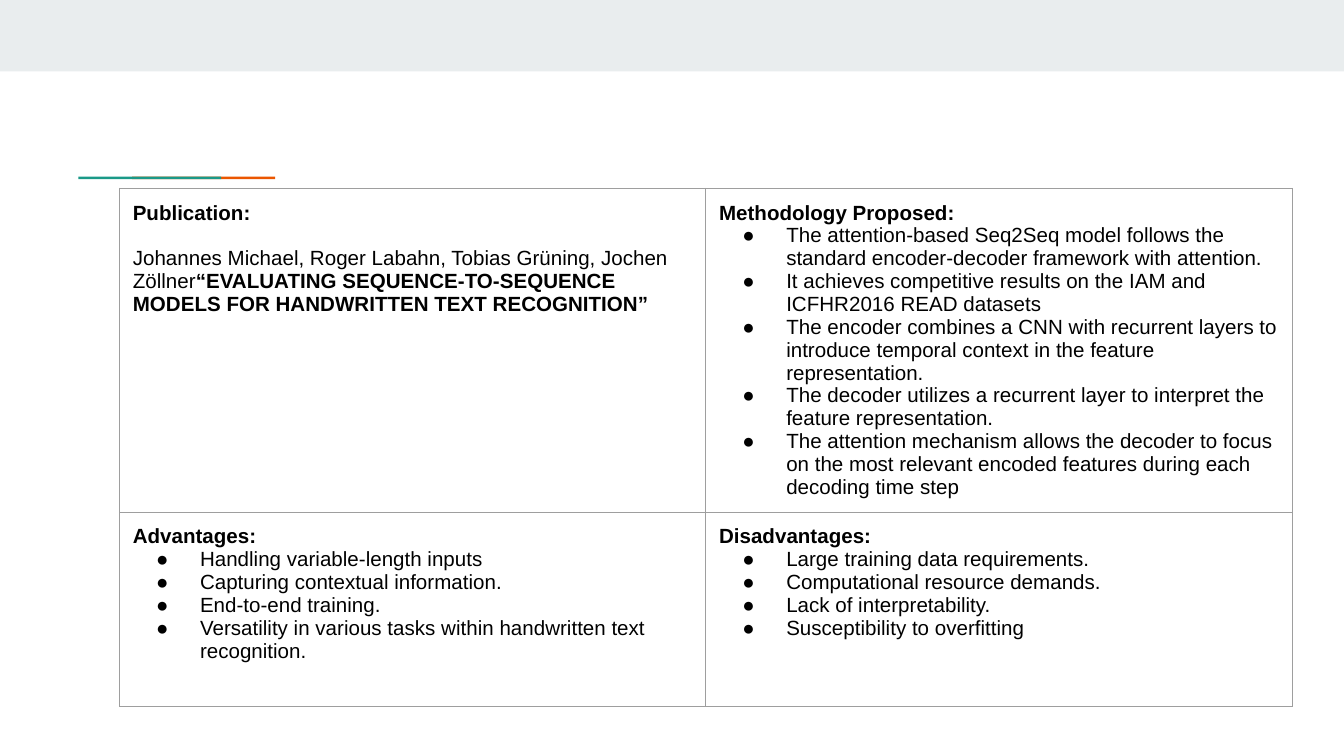
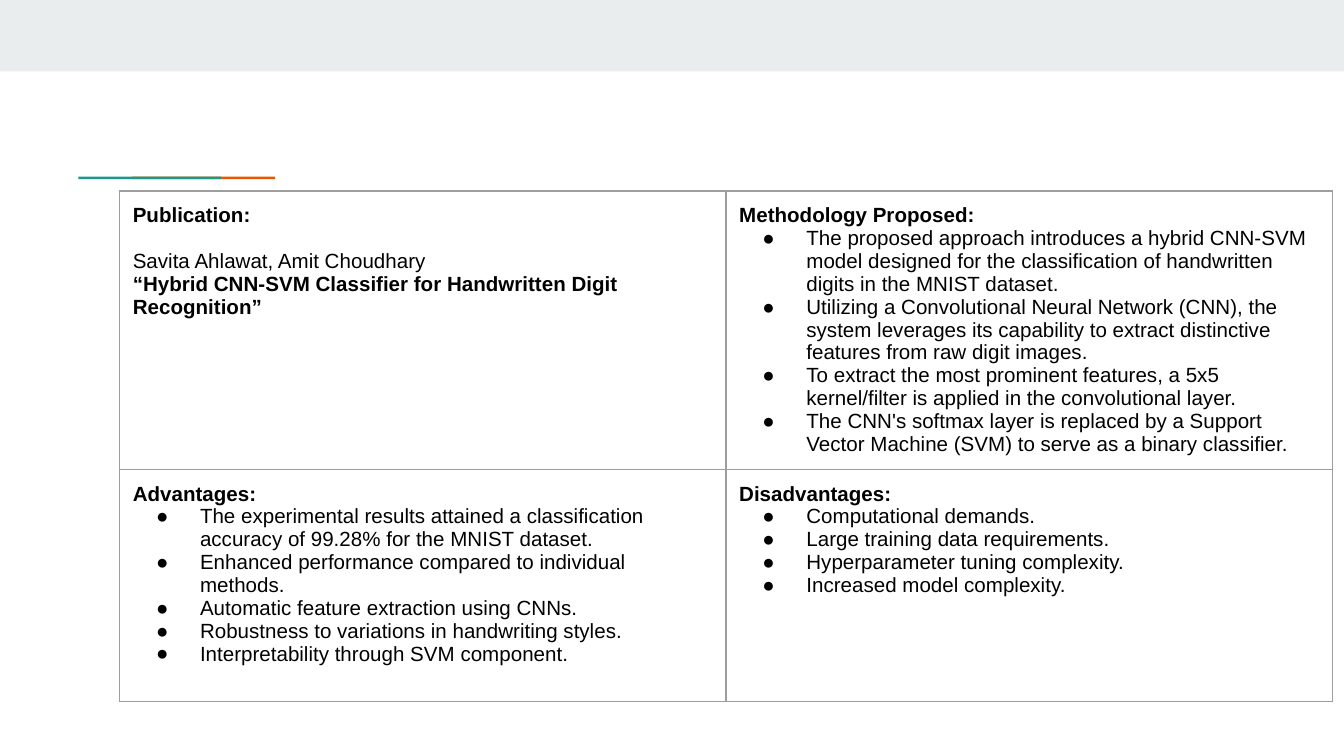
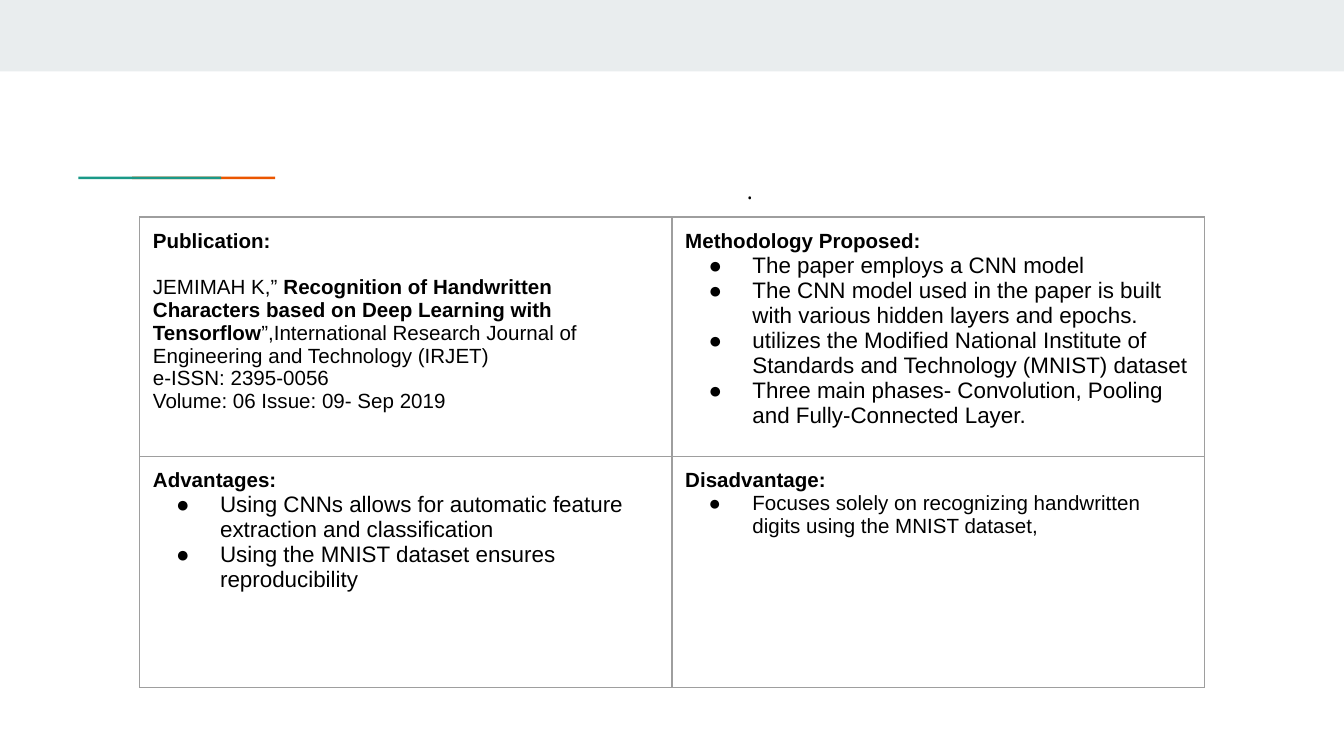
from dataclasses import dataclass

from lxml.etree import SubElement as Sub
from pptx import Presentation
from pptx.dml.color import RGBColor
from pptx.enum.shapes import MSO_SHAPE as Shape
from pptx.enum.text import PP_ALIGN as Align
from pptx.oxml.ns import qn
from pptx.util import Cm, Pt

BLACK, BAND, TEAL, ORANGE, GREY = "000000", "E9EDEE", "1A9988", "EB5600", "9E9E9E"
FONT = "Arial"
INSET = Cm(0.25)
SIZE = 11


@dataclass
class Bar:
    """A plain filled rectangle, in centimetres."""
    left: float
    top: float
    width: float
    height: float
    fill: str


@dataclass
class Block:
    """A heading with a bullet list."""
    head: str
    items: list[str]
    size: int = SIZE


@dataclass
class Review:
    """One paper: table place in centimetres, and its four cells.

    In each line of the source, every second part is bold.
    """
    left: float
    top: float
    width: float
    rows: tuple[float, float]
    source: list[tuple[str, ...]]
    method: Block
    pros: Block
    cons: Block


BARS = [
    Bar(0, 0, 25.4, 1.35, BAND),
    Bar(2.5, 3.34, 2.7, 0.05, ORANGE),
    Bar(1.48, 3.34, 2.7, 0.05, TEAL),
]

REVIEWS = [
    Review(
        2.26, 3.56, 11.08, (6.12, 3.67),
        [("Johannes Michael, Roger Labahn, Tobias Grüning, Jochen Zöllner",
          "“EVALUATING SEQUENCE-TO-SEQUENCE MODELS FOR HANDWRITTEN TEXT RECOGNITION”")],
        Block("Methodology Proposed:", [
            "The attention-based Seq2Seq model follows the standard encoder-decoder "
            "framework with attention.",
            "It achieves competitive results on the IAM and ICFHR2016 READ datasets",
            "The encoder combines a CNN with recurrent layers to introduce temporal "
            "context in the feature representation.",
            "The decoder utilizes a recurrent layer to interpret the feature representation.",
            "The attention mechanism allows the decoder to focus on the most relevant "
            "encoded features during each decoding time step",
        ]),
        Block("Advantages:", [
            "Handling variable-length inputs",
            "Capturing contextual information.",
            "End-to-end training.",
            "Versatility in various tasks within handwritten text recognition.",
        ]),
        Block("Disadvantages:", [
            "Large training data requirements.",
            "Computational resource demands.",
            "Lack of interpretability.",
            "Susceptibility to overfitting",
        ]),
    ),
    Review(
        2.26, 3.61, 11.46, (5.26, 4.39),
        [("Savita Ahlawat, Amit Choudhary",),
         ("", "“Hybrid CNN-SVM Classifier for Handwritten Digit Recognition”")],
        Block("Methodology Proposed:", [
            "The proposed approach introduces a hybrid CNN-SVM model designed for the "
            "classification of handwritten digits in the MNIST dataset.",
            "Utilizing a Convolutional Neural Network (CNN), the system leverages its "
            "capability to extract distinctive features from raw digit images.",
            "To extract the most prominent features, a 5x5 kernel/filter is applied in "
            "the convolutional layer.",
            "The CNN's softmax layer is replaced by a Support Vector Machine (SVM) to "
            "serve as a binary classifier.",
        ]),
        Block("Advantages:", [
            "The experimental results attained a classification accuracy of 99.28% for "
            "the MNIST dataset.",
            "Enhanced performance compared to individual methods.",
            "Automatic feature extraction using CNNs.",
            "Robustness to variations in handwriting styles.",
            "Interpretability through SVM component.",
        ]),
        Block("Disadvantages:", [
            "Computational demands.",
            "Large training data requirements.",
            "Hyperparameter tuning complexity.",
            "Increased model complexity.",
        ]),
    ),
    Review(
        2.64, 4.1, 10.06, (4.37, 4.37),
        [("JEMIMAH K,” ",
          "Recognition of Handwritten Characters based on Deep Learning with Tensorflow",
          "”,International Research Journal of Engineering and Technology (IRJET)"),
         ("e-ISSN: 2395-0056",),
         ("Volume: 06 Issue: 09- Sep 2019",)],
        Block("Methodology Proposed:", [
            "The paper employs a CNN model",
            "The CNN model used in the paper is built with various hidden layers and epochs.",
            "utilizes the Modified National Institute of Standards and Technology (MNIST) "
            "dataset",
            "Three main phases- Convolution, Pooling and Fully-Connected Layer.",
        ], 12),
        Block("Advantages:", [
            "Using CNNs allows for automatic feature extraction and classification",
            "Using the MNIST dataset ensures reproducibility",
        ], 12),
        Block("Disadvantage:", [
            "Focuses solely on recognizing handwritten digits using the MNIST dataset,",
        ]),
    ),
]


def paint(color, value: str) -> None:
    """Set a colour from a hex string."""
    color.rgb = RGBColor.from_string(value)


def style(run, size: float = SIZE, bold: bool = False, font: str = FONT) -> None:
    """Format one run."""
    run.font.size, run.font.bold, run.font.name = Pt(size), bold, font
    paint(run.font.color, BLACK)


def draw_bar(slide, bar: Bar) -> None:
    """Draw a rectangle without line or shadow."""
    box = slide.shapes.add_shape(Shape.RECTANGLE, Cm(bar.left), Cm(bar.top),
                                 Cm(bar.width), Cm(bar.height))
    box.shadow.inherit = False
    box.fill.solid()
    paint(box.fill.fore_color, bar.fill)
    box.line.fill.background()


def add_bullet(para) -> None:
    """Give a paragraph a round black bullet and a hanging indent."""
    props = para._p.get_or_add_pPr()
    props.set("marL", str(Cm(1.27)))
    props.set("indent", str(-Cm(0.83)))
    Sub(Sub(props, qn("a:buClr")), qn("a:srgbClr"), val=BLACK)
    Sub(props, qn("a:buFont"), typeface=FONT)
    Sub(props, qn("a:buChar"), char="●")


def frame_cell(cell) -> None:
    """Set borders, insets and an empty fill."""
    props = cell._tc.get_or_add_tcPr()
    for side in ("a:lnL", "a:lnR", "a:lnT", "a:lnB"):
        line = Sub(props, qn(side), w=str(Pt(0.75)))
        Sub(Sub(line, qn("a:solidFill")), qn("a:srgbClr"), val=GREY)
    cell.fill.background()
    cell.margin_left = cell.margin_right = INSET
    cell.margin_top = cell.margin_bottom = INSET


def add_head(frame, text: str):
    """Write the bold heading of a cell."""
    para = frame.paragraphs[0]
    para.text = text
    style(para.runs[0], bold=True)
    return para


def fill_source(cell, lines: list[tuple[str, ...]]) -> None:
    """Write the publication cell."""
    frame = cell.text_frame
    add_head(frame, "Publication:").space_after = Pt(12.3)
    for parts in lines:
        para = frame.add_paragraph()
        for i, text in enumerate(parts):
            if text:
                run = para.add_run()
                run.text = text
                style(run, bold=i % 2 == 1)


def fill_block(cell, block: Block) -> None:
    """Write a heading and its bullets."""
    frame = cell.text_frame
    add_head(frame, block.head)
    for item in block.items:
        para = frame.add_paragraph()
        para.text = item
        add_bullet(para)
        style(para.runs[0], block.size)


def draw_table(slide, review: Review) -> None:
    """Draw the two by two table of a paper."""
    table = slide.shapes.add_table(2, 2, Cm(review.left), Cm(review.top),
                                   Cm(2 * review.width), Cm(sum(review.rows))).table
    table.first_row = table.horz_banding = False
    for col in table.columns:
        col.width = Cm(review.width)
    for row, height in zip(table.rows, review.rows):
        row.height = Cm(height)
    for cell in table.iter_cells():
        frame_cell(cell)
    fill_source(table.cell(0, 0), review.source)
    fill_block(table.cell(0, 1), review.method)
    fill_block(table.cell(1, 0), review.pros)
    fill_block(table.cell(1, 1), review.cons)


def draw_dot(slide) -> None:
    """Write the lone full stop above the table."""
    box = slide.shapes.add_textbox(Cm(2.03), Cm(3.02), Cm(21.36), Cm(9.09))
    frame = box.text_frame
    frame.word_wrap = True
    frame.margin_left = frame.margin_right = frame.margin_bottom = INSET
    frame.margin_top = Cm(0.4)
    frame.text = "."
    para = frame.paragraphs[0]
    para.alignment = Align.CENTER
    para._p.get_or_add_pPr().set("marL", str(Cm(2.92)))
    style(para.runs[0], 12, font="Open Sans")


def main() -> None:
    """Build and save the deck."""
    deck = Presentation()
    deck.slide_width, deck.slide_height = Cm(25.4), Cm(14.29)
    for review in REVIEWS:
        slide = deck.slides.add_slide(deck.slide_layouts[6])
        for bar in BARS:
            draw_bar(slide, bar)
        if review is REVIEWS[-1]:
            draw_dot(slide)
        draw_table(slide, review)
    deck.save("out.pptx")


main()
